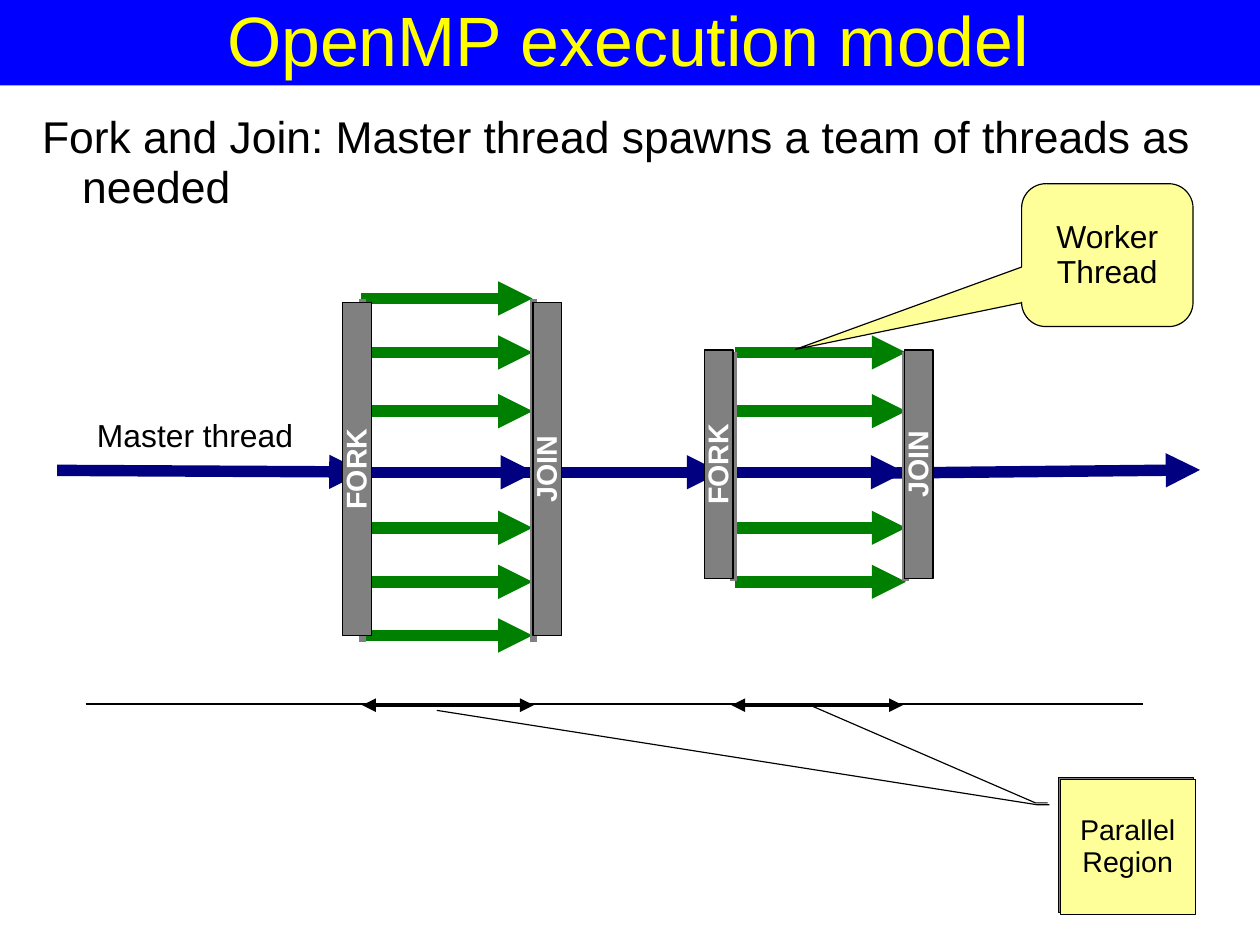
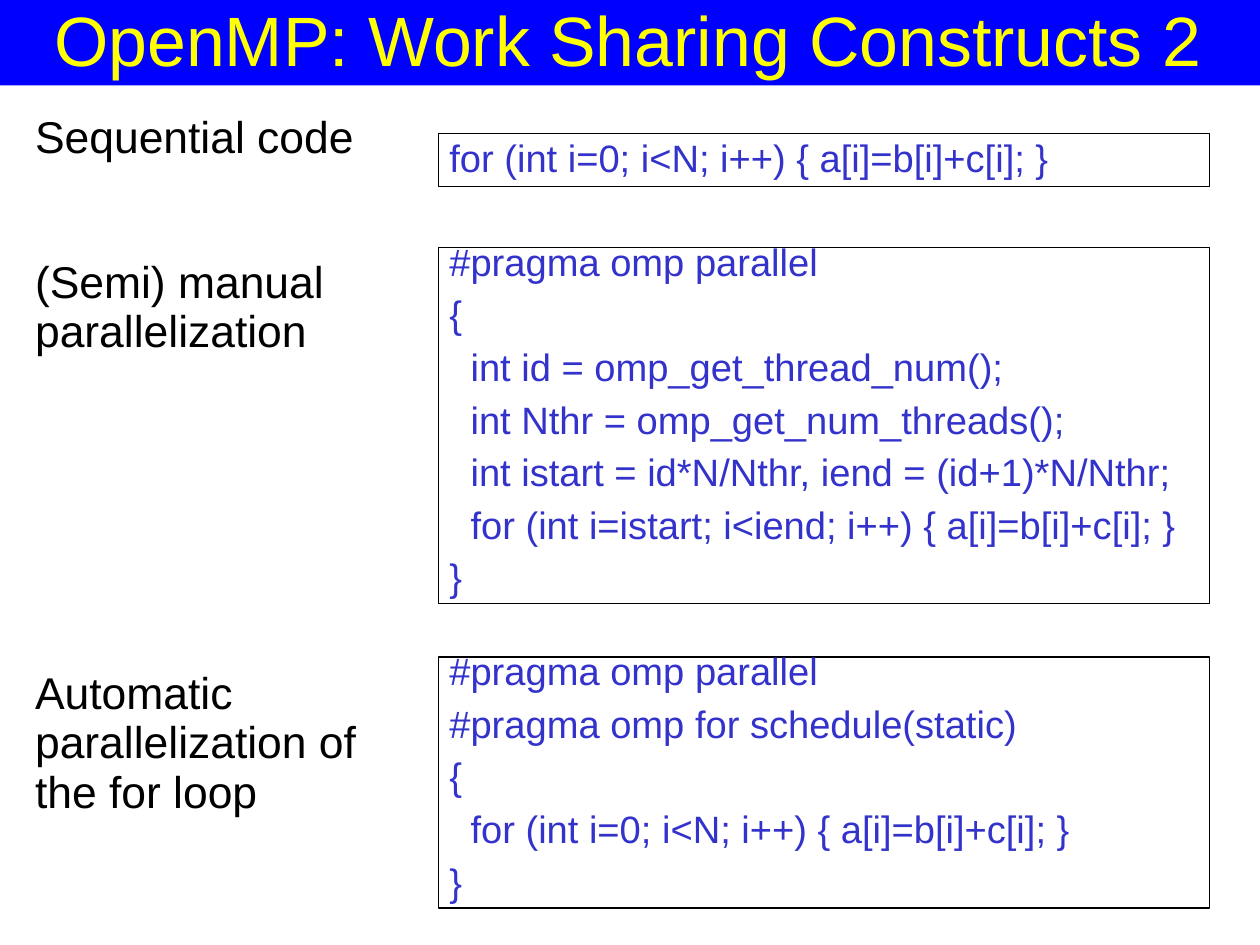
from dataclasses import dataclass

from lxml import etree
from pptx import Presentation
from pptx.dml.color import RGBColor
from pptx.enum import shapes, text
from pptx.oxml.ns import qn
from pptx.util import Pt

BLUE = RGBColor(0x00, 0x00, 0xFF)
YELLOW = RGBColor(0xFF, 0xFF, 0x00)
PALE = RGBColor(0xFF, 0xFF, 0x99)
NAVY = RGBColor(0x00, 0x00, 0x80)
GREEN = RGBColor(0x00, 0x80, 0x00)
GREY = RGBColor(0x80, 0x80, 0x80)
CODE = RGBColor(0x33, 0x33, 0xCC)
BLACK = RGBColor(0x00, 0x00, 0x00)
WHITE = RGBColor(0xFF, 0xFF, 0xFF)

FONT = "Arial"
WIDTH, HEIGHT = 793.75, 595.25
THICK = 7.2
SPAN = 108
SHAPE = shapes.MSO_SHAPE
CENTER, LEFT = text.PP_ALIGN.CENTER, text.PP_ALIGN.LEFT
TOP, MIDDLE = text.MSO_ANCHOR.TOP, text.MSO_ANCHOR.MIDDLE


@dataclass
class Style:
    size: float
    color: RGBColor = BLACK
    bold: bool = False
    align: int = LEFT
    spacing: float = 0.93
    before: float = 0
    after: float = 0


@dataclass
class Line:
    text: str
    left: float = 0
    first: float = 0
    before: float = 0


@dataclass
class Box:
    x: float
    y: float
    w: float
    h: float


@dataclass
class Bar:
    label: str
    x: float


@dataclass
class Team:
    x: float
    top: float
    bottom: float
    arrows_x: float
    arrow_ys: list[float]
    extent_x: float
    bar_y: float
    bar_length: float
    bars: list[Bar]


@dataclass
class CodeBox:
    y: float
    h: float
    spacing: float
    lines: list[Line]


TITLE = Style(44, YELLOW, align=CENTER)
BODY = Style(28, after=14.3)
LABEL = Style(20)
CALLOUT = Style(20, align=CENTER)
REGION = Style(18, align=CENTER)
BAR = Style(18, WHITE, bold=True, align=CENTER)

ARROW_YS = [188, 222, 259, 332.5, 366.5, 400.3]
TEAMS = [
    Team(228.2, 188.4, 404.4, 227.5, ARROW_YS, 228.2, 295.4, 210,
         [Bar("FORK", 225), Bar("JOIN", 344.8)]),
    Team(462.2, 222, 366, 462.8, ARROW_YS[1:5], 460.8, 292.4, 144,
         [Bar("FORK", 452.8), Bar("JOIN", 578.8)]),
]
MASTER = [
    (36, 296.3, 229, 297.3),
    (444.2, 297.5, 570.2, 297.5),
    (328.3, 297.5, 454.3, 297.5),
    (211, 297.5, 337, 297.5),
    (558.7, 298, 756, 296),
]

INDENT = 13.34
CODE_BOXES = [
    CodeBox(84, 33.8, 0.93, [Line("for (int i=0; i<N; i++) { a[i]=b[i]+c[i]; }")]),
    CodeBox(156, 224, 0.63, [
        Line("#pragma omp parallel"),
        Line("{"),
        Line("int id = omp_get_thread_num();", INDENT),
        Line("int Nthr = omp_get_num_threads();", INDENT),
        Line("int istart = id*N/Nthr, iend = (id+1)*N/Nthr;", INDENT),
        Line("for (int i=istart; i<iend; i++) { a[i]=b[i]+c[i]; }", INDENT),
        Line("}"),
    ]),
    CodeBox(413.8, 158.2, 0.63, [
        Line("#pragma omp parallel"),
        Line("#pragma omp for schedule(static)"),
        Line("{"),
        Line("for (int i=0; i<N; i++) { a[i]=b[i]+c[i]; }", INDENT),
        Line("}"),
    ]),
]


def write(sp, lines: list[Line], style: Style, anchor=MIDDLE,
          insets: tuple[float, float] = (7.2, 3.6), wrap: bool = True) -> None:
    tf = sp.text_frame
    tf.word_wrap = wrap
    tf.vertical_anchor = anchor
    tf.margin_left = tf.margin_right = Pt(insets[0])
    tf.margin_top = tf.margin_bottom = Pt(insets[1])
    for i, line in enumerate(lines):
        p = tf.paragraphs[0] if i == 0 else tf.add_paragraph()
        p.text = line.text
        p.alignment = style.align
        p.line_spacing = style.spacing
        p.space_before = Pt(style.before + line.before)
        p.space_after = Pt(style.after)
        p.font.name = FONT
        p.font.size = Pt(style.size)
        p.font.bold = style.bold
        p.font.color.rgb = style.color
        pPr = p._p.get_or_add_pPr()
        pPr.set("marL", str(Pt(line.left)))
        pPr.set("indent", str(Pt(line.first)))


def add_text(s, box: Box, lines: list[Line], style: Style, **layout) -> None:
    sp = s.shapes.add_textbox(Pt(box.x), Pt(box.y), Pt(box.w), Pt(box.h))
    write(sp, lines, style, **layout)


def add_shape(s, kind, box: Box, fill: RGBColor | None = None,
              outline: bool = True, adjust: tuple[float, ...] = ()):
    sp = s.shapes.add_shape(kind, Pt(box.x), Pt(box.y), Pt(box.w), Pt(box.h))
    sp.shadow.inherit = False
    for i, value in enumerate(adjust):
        sp.adjustments[i] = value
    if fill is None:
        sp.fill.background()
    else:
        sp.fill.solid()
        sp.fill.fore_color.rgb = fill
    if outline:
        sp.line.color.rgb = BLACK
        sp.line.width = Pt(0.75)
    else:
        sp.line.fill.background()
    return sp


def add_line(s, x1: float, y1: float, x2: float, y2: float, color: RGBColor,
             width: float, ends: tuple[str, ...] = ()) -> None:
    c = s.shapes.add_connector(shapes.MSO_CONNECTOR.STRAIGHT,
                               Pt(x1), Pt(y1), Pt(x2), Pt(y2))
    c.line.color.rgb = color
    c.line.width = Pt(width)
    ln = c.line._get_or_add_ln()
    for end in ends:
        etree.SubElement(ln, qn(f"a:{end}")).set("type", "triangle")
    etree.SubElement(c._element.spPr, qn("a:effectLst"))


def add_slide(prs, title: str):
    s = prs.slides.add_slide(prs.slide_layouts[6])
    add_shape(s, SHAPE.ROUNDED_RECTANGLE, Box(0, 0, WIDTH, 53.8), BLUE,
              outline=False, adjust=(0.002,))
    add_text(s, Box(0, 2.5, 792, 49), [Line(title)], TITLE, insets=(0, 0))
    return s


def execution_model(prs) -> None:
    s = add_slide(prs, "OpenMP execution model")
    intro = "Fork and Join: Master thread spawns a team of threads as needed"
    add_text(s, Box(18, 71.8, 756, 62.6), [Line(intro, 33.8, -25.2)], BODY,
             anchor=TOP, insets=(0, 0))
    for segment in MASTER:
        add_line(s, *segment, NAVY, THICK, ("tailEnd",))
    for team in TEAMS:
        for y in team.arrow_ys:
            add_line(s, team.arrows_x, y, team.arrows_x + SPAN, y,
                     GREEN, THICK, ("tailEnd",))
    for team in TEAMS:
        for x in (team.x, team.x + SPAN):
            add_line(s, x, team.top, x, team.bottom, GREY, 4.31)
    add_text(s, Box(54, 260.6, 142, 29.5), [Line("Master thread")], LABEL,
             anchor=TOP)
    worker = add_shape(s, SHAPE.ROUNDED_RECTANGULAR_CALLOUT,
                       Box(643.6, 115.7, 108, 90), PALE,
                       adjust=(-1.82, 0.66, 0.17))
    write(worker, [Line("Worker"), Line("Thread")], CALLOUT)
    for team in TEAMS:
        add_line(s, team.extent_x, 444.2, team.extent_x + SPAN, 444.2,
                 BLACK, 2.89, ("headEnd", "tailEnd"))
    add_line(s, 54, 443.4, 720, 443.4, BLACK, 0.75)
    for offset, fill, target in ((0, GREY, (-0.53, -1.83)),
                                 (1.2, PALE, (-0.51, -4.62))):
        region = add_shape(s, SHAPE.LINE_CALLOUT_2,
                           Box(666.7 + offset, 489.6 + offset, 85, 85), fill,
                           adjust=(0.19, -0.08, 0.19, -0.17, *target))
    write(region, [Line("Parallel"), Line("Region")], REGION)
    for team in TEAMS:
        for bar in team.bars:
            box = Box(bar.x - team.bar_length / 2, team.bar_y - 9,
                      team.bar_length, 18)
            sp = add_shape(s, SHAPE.RECTANGLE, box, GREY)
            sp.rotation = 270
            write(sp, [Line(bar.label)], BAR, wrap=False)


def work_sharing(prs) -> None:
    s = add_slide(prs, "OpenMP: Work Sharing Constructs 2")
    labels = [
        Line("Sequential code", 4.3),
        Line("(Semi) manual parallelization", 4.3, before=45.5),
        Line("Automatic parallelization of the for loop", 4.3, before=182),
    ]
    add_text(s, Box(17.8, 71.8, 221.8, 443.5), labels, BODY, anchor=TOP,
             insets=(0, 0))
    for code in CODE_BOXES:
        sp = add_shape(s, SHAPE.RECTANGLE, Box(276, code.y, 486, code.h))
        style = Style(24, CODE, spacing=code.spacing, before=15)
        write(sp, code.lines, style, anchor=TOP)


def main() -> None:
    prs = Presentation()
    prs.slide_width, prs.slide_height = Pt(WIDTH), Pt(HEIGHT)
    execution_model(prs)
    work_sharing(prs)
    prs.save("out.pptx")


if __name__ == "__main__":
    main()
